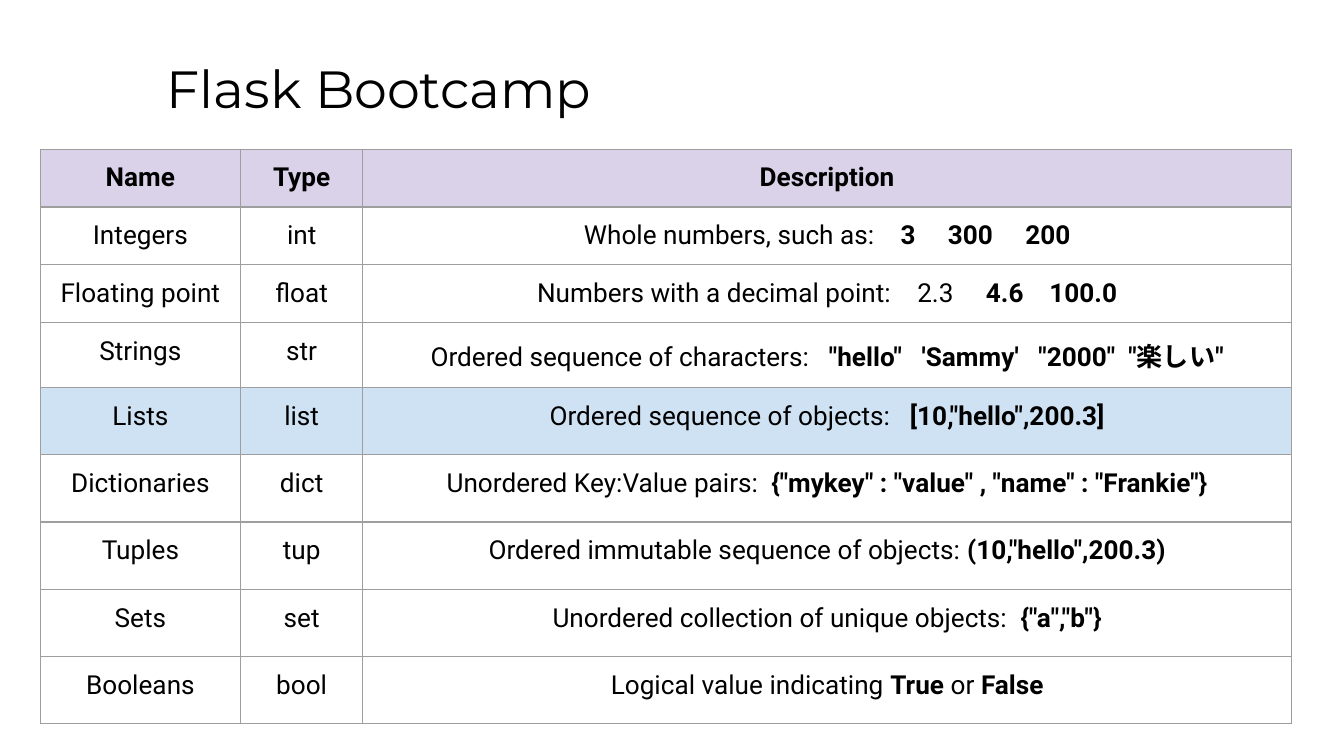
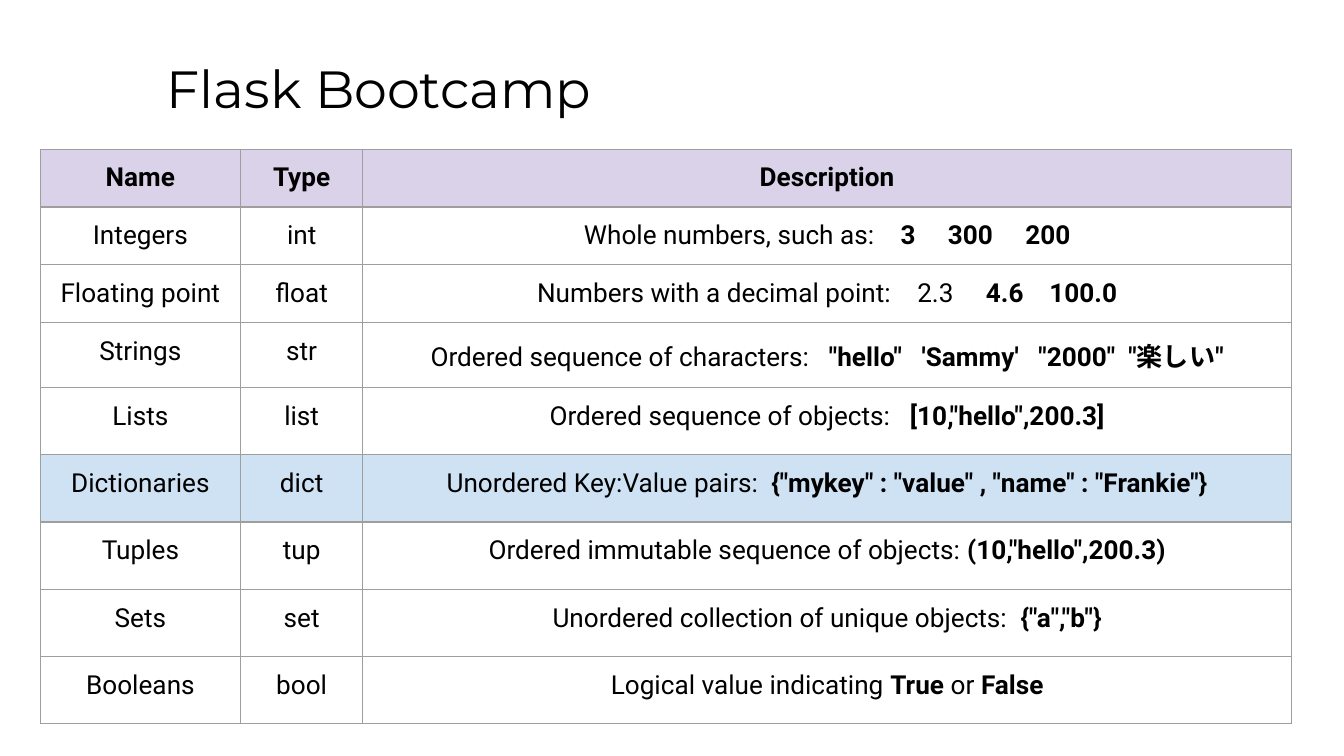
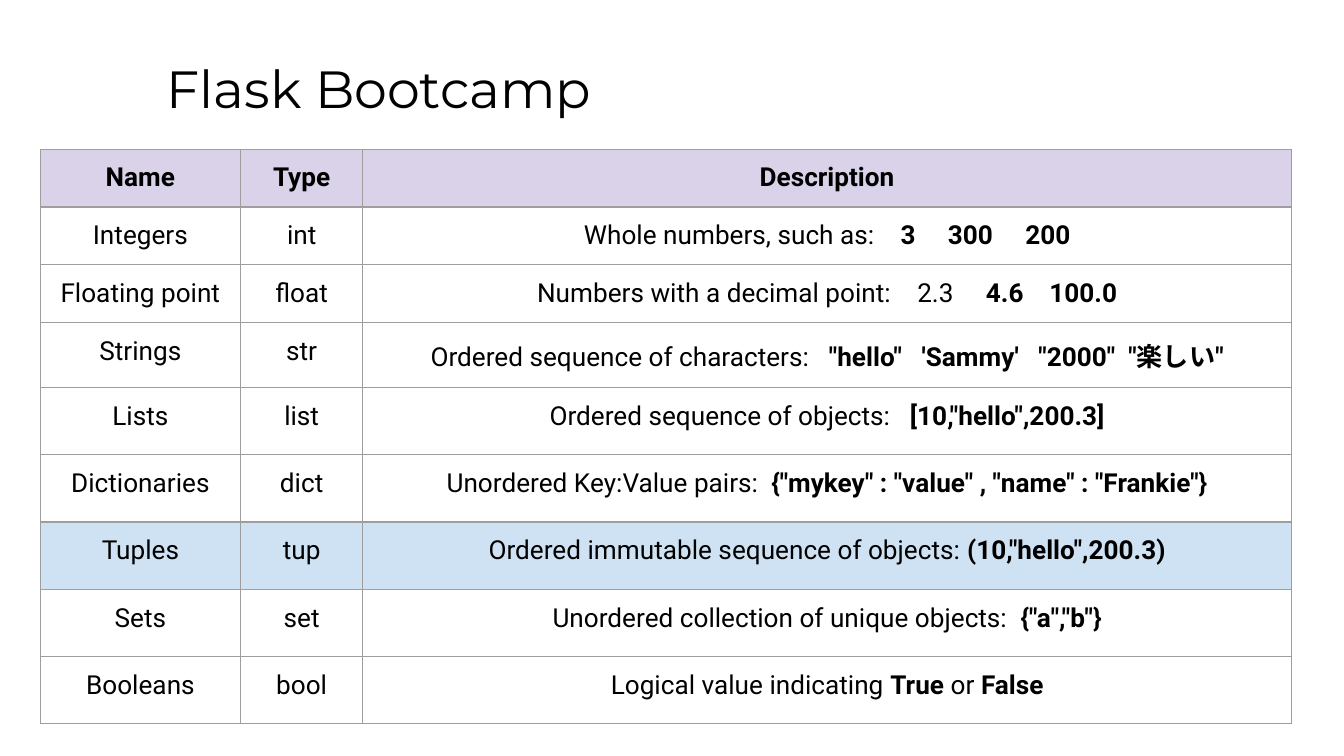
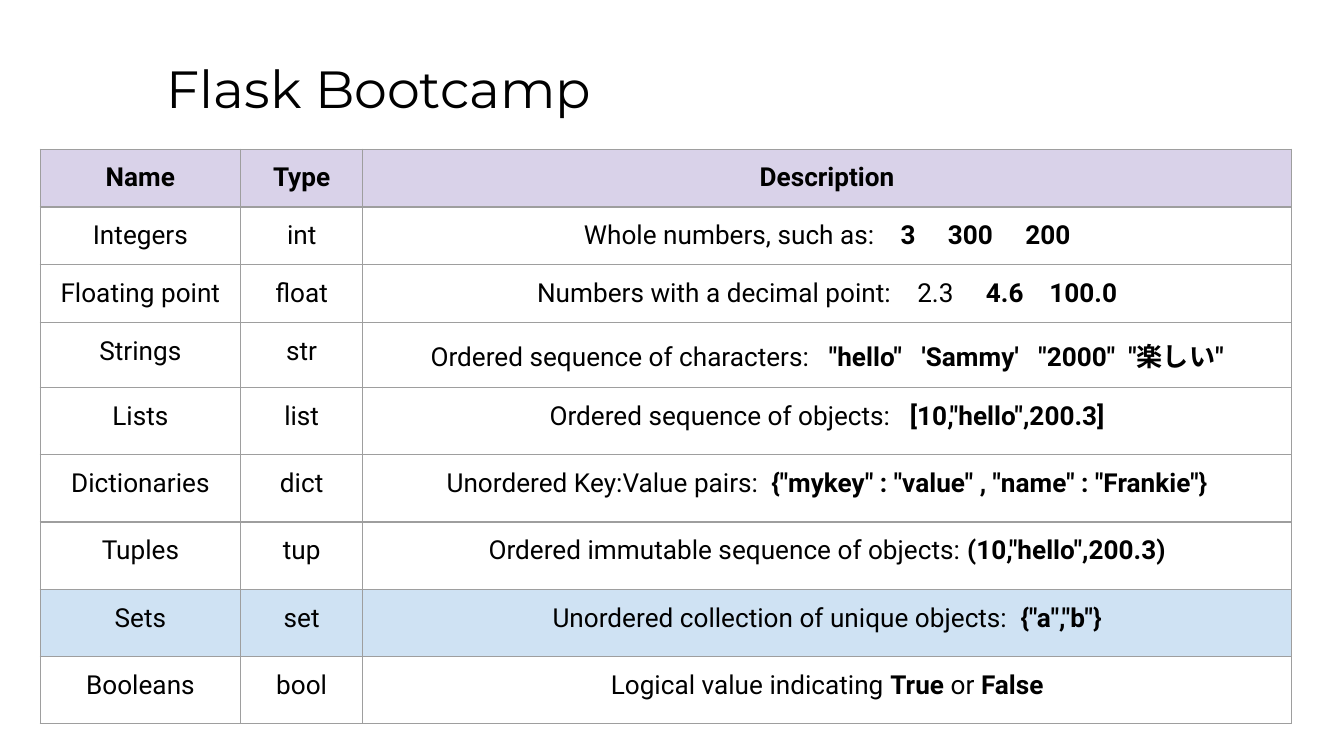
"""Build four slides of Python data types, each highlighting one row of the table."""
from lxml import etree
from pptx import Presentation
from pptx import util as u
from pptx.dml.color import RGBColor
from pptx.enum import text
from pptx.oxml import ns

BLACK, GREY, LILAC, BLUE = "000000", "9E9E9E", "D9D2E9", "CFE2F3"
SPACE_WIDTH = 3.46
COLUMN_WIDTHS = [1.49, 0.91, 6.91]
ROW_HEIGHTS = [0.39, 0.36, 0.32, 0.47] + [0.5] * 5
HIGHLIGHTS = ["Lists", "Dictionaries", "Tuples", "Sets"]

ROWS = [
    ("Name", "Type", [("Description", True, 0)]),
    ("Integers", "int", [("Whole numbers, such as:", False, 4), ("3", True, 5),
                         ("300", True, 5), ("200", True, 0)]),
    ("Floating point", "float", [("Numbers with a decimal point:", False, 4), ("2.3", False, 5),
                                 ("4.6", True, 4), ("100.0", True, 0)]),
    ("Strings", "str", [("Ordered sequence of characters:", False, 3), ('"hello"', True, 3),
                        ("'Sammy'", True, 3), ('"2000"', True, 2), ('"楽しい"', True, 0)]),
    ("Lists", "list", [("Ordered sequence of objects:", False, 3),
                       ('[10,"hello",200.3]', True, 0)]),
    ("Dictionaries", "dict", [("Unordered Key:Value pairs:", False, 2),
                              ('{"mykey" : "value" , "name" : "Frankie"}', True, 0)]),
    ("Tuples", "tup", [("Ordered immutable sequence of objects:", False, 1),
                       ('(10,"hello",200.3)', True, 0)]),
    ("Sets", "set", [("Unordered collection of unique objects:", False, 2),
                     ('{"a","b"}', True, 0)]),
    ("Booleans", "bool", [("Logical value indicating", False, 1), ("True", True, 1),
                          ("or", False, 1), ("False", True, 0)]),
]


def color(value):
    return RGBColor.from_string(value)


def add_span(para, words, font_name, size, bold=False):
    span = para.add_run()
    span.text = words
    span.font.name = font_name
    span.font.size = u.Pt(size)
    span.font.bold = bold
    span.font.color.rgb = color(BLACK)
    return span


deck = Presentation()
deck.slide_width = u.Inches(10)
deck.slide_height = deck.slide_width * 9 // 16

for highlight in HIGHLIGHTS:
    page = deck.slides.add_slide(deck.slide_layouts[5])

    title = page.shapes.title
    title.left, title.top = u.Inches(1.14), u.Inches(0.32)
    title.width, title.height = u.Inches(8.52), u.Inches(0.63)
    frame = title.text_frame
    frame.margin_left = frame.margin_right = u.Inches(0.1)
    frame.margin_top = frame.margin_bottom = u.Inches(0.1)
    frame.auto_size = text.MSO_AUTO_SIZE.NONE
    frame.vertical_anchor = text.MSO_ANCHOR.TOP
    frame.paragraphs[0].alignment = text.PP_ALIGN.LEFT
    add_span(frame.paragraphs[0], "Flask Bootcamp", "Montserrat", 28)

    table = page.shapes.add_table(
        len(ROWS), len(COLUMN_WIDTHS), u.Inches(0.3), u.Inches(1.11),
        u.Inches(sum(COLUMN_WIDTHS)), u.Inches(sum(ROW_HEIGHTS))).table
    table.horz_banding = False
    for column, width in zip(table.columns, COLUMN_WIDTHS):
        column.width = u.Inches(width)
    for row, height in zip(table.rows, ROW_HEIGHTS):
        row.height = u.Inches(height)

    for row_index, (name, type_name, description) in enumerate(ROWS):
        header = row_index == 0
        contents = [[(name, header, 0)], [(type_name, header, 0)], description]
        for cell, parts in zip(table.rows[row_index].cells, contents):
            cell.margin_left = cell.margin_right = u.Inches(0.1)
            cell.margin_top = cell.margin_bottom = u.Inches(0.1)

            for side in ("lnL", "lnR", "lnT", "lnB"):
                line = etree.SubElement(cell._tc.get_or_add_tcPr(), ns.qn("a:" + side),
                                        w=str(u.Pt(0.75)))
                solid = etree.SubElement(line, ns.qn("a:solidFill"))
                etree.SubElement(solid, ns.qn("a:srgbClr"), val=GREY)

            if header or name == highlight:
                cell.fill.solid()
                cell.fill.fore_color.rgb = color(LILAC if header else BLUE)
            else:
                cell.fill.background()

            para = cell.text_frame.paragraphs[0]
            para.alignment = text.PP_ALIGN.CENTER
            for words, bold, gap in parts:
                add_span(para, words, "Roboto", 14, bold)
                if gap:
                    space = add_span(para, " ", "Roboto", 14, bold)
                    space.font._element.set("spc", str(round((gap - 1) * SPACE_WIDTH * 100)))

deck.save("out.pptx")
